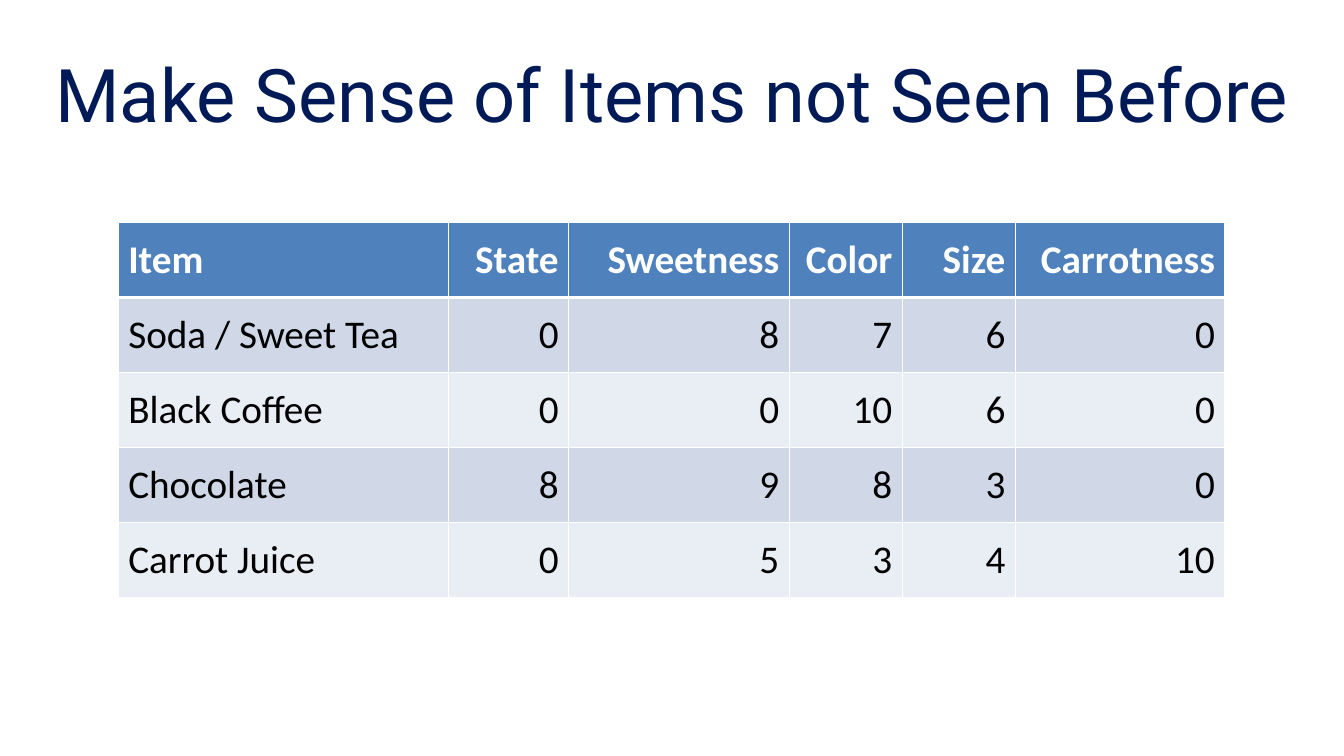
from dataclasses import dataclass

from lxml import etree
from pptx import Presentation
from pptx import util as u
from pptx.dml import color
from pptx.enum import text
from pptx.oxml import ns

COLORS = {
    "title": "001A57",
    "header": "4F81BD",
    "odd": "D0D8E8",
    "even": "E9EDF4",
    "border": "FFFFFF",
    "header_text": "FFFFFF",
    "body_text": "000000",
}
ROW_HEIGHT = u.Cm(1.89)


@dataclass(frozen=True)
class Column:
    heading: str
    width: float
    values: tuple[str, ...]
    align: text.PP_ALIGN = text.PP_ALIGN.RIGHT


COLUMNS = [
    Column("Item", 8.33, ("Soda / Sweet Tea", "Black Coffee", "Chocolate", "Carrot Juice"),
           text.PP_ALIGN.LEFT),
    Column("State", 3.02, ("0", "0", "8", "0")),
    Column("Sweetness", 5.56, ("8", "0", "9", "5")),
    Column("Color", 2.85, ("7", "10", "8", "3")),
    Column("Size", 2.85, ("6", "6", "3", "4")),
    Column("Carrotness", 5.28, ("0", "0", "0", "10")),
]


def write_text(frame, content: str, align: text.PP_ALIGN, fill: str, font: dict) -> None:
    paragraph = frame.paragraphs[0]
    paragraph.alignment = align
    run = paragraph.add_run()
    run.text = content
    for name, value in font.items():
        setattr(run.font, name, value)
    run.font.color.rgb = color.RGBColor.from_string(COLORS[fill])


def set_borders(cell, widths: dict[str, float]) -> None:
    properties = cell._tc.get_or_add_tcPr()
    for position, (side, width) in enumerate(widths.items()):
        line = etree.Element(ns.qn(f"a:ln{side}"), w=str(u.Pt(width)))
        fill = etree.SubElement(line, ns.qn("a:solidFill"))
        etree.SubElement(fill, ns.qn("a:srgbClr"), val=COLORS["border"])
        properties.insert(position, line)


def add_title(slide, content: str) -> None:
    box = slide.shapes.add_textbox(u.Cm(0), u.Cm(0.76), u.Cm(33.87), u.Cm(3.18))
    settings = {"word_wrap": True, "vertical_anchor": text.MSO_ANCHOR.MIDDLE}
    for name, value in settings.items():
        setattr(box.text_frame, name, value)
    write_text(box.text_frame, content, text.PP_ALIGN.CENTER, "title",
               {"name": "Roboto", "size": u.Pt(52.8)})


def add_item_table(slide, columns: list[Column]) -> None:
    row_count = len(columns[0].values) + 1
    width = u.Cm(sum(column.width for column in columns))
    table = slide.shapes.add_table(row_count, len(columns), u.Cm(2.98), u.Cm(5.61),
                                   width, ROW_HEIGHT * row_count).table
    for column_index, column in enumerate(columns):
        table.columns[column_index].width = u.Cm(column.width)
        for row_index, content in enumerate((column.heading, *column.values)):
            is_header = row_index == 0
            band = "header" if is_header else "odd" if row_index % 2 else "even"
            cell = table.cell(row_index, column_index)
            cell.vertical_anchor = text.MSO_ANCHOR.MIDDLE
            cell.fill.solid()
            cell.fill.fore_color.rgb = color.RGBColor.from_string(COLORS[band])
            set_borders(cell, {"L": 1, "R": 1, "T": 3 if row_index == 1 else 1,
                               "B": 3 if is_header else 1})
            write_text(cell.text_frame, content, column.align,
                       "header_text" if is_header else "body_text",
                       {"name": "Calibri", "size": u.Pt(28), "bold": is_header})


def main() -> None:
    presentation = Presentation()
    presentation.slide_width = u.Cm(33.87)
    presentation.slide_height = u.Cm(19.05)
    slide = presentation.slides.add_slide(presentation.slide_layouts[6])
    add_title(slide, "Make Sense of Items not Seen Before")
    add_item_table(slide, COLUMNS)
    presentation.save("out.pptx")


if __name__ == "__main__":
    main()
